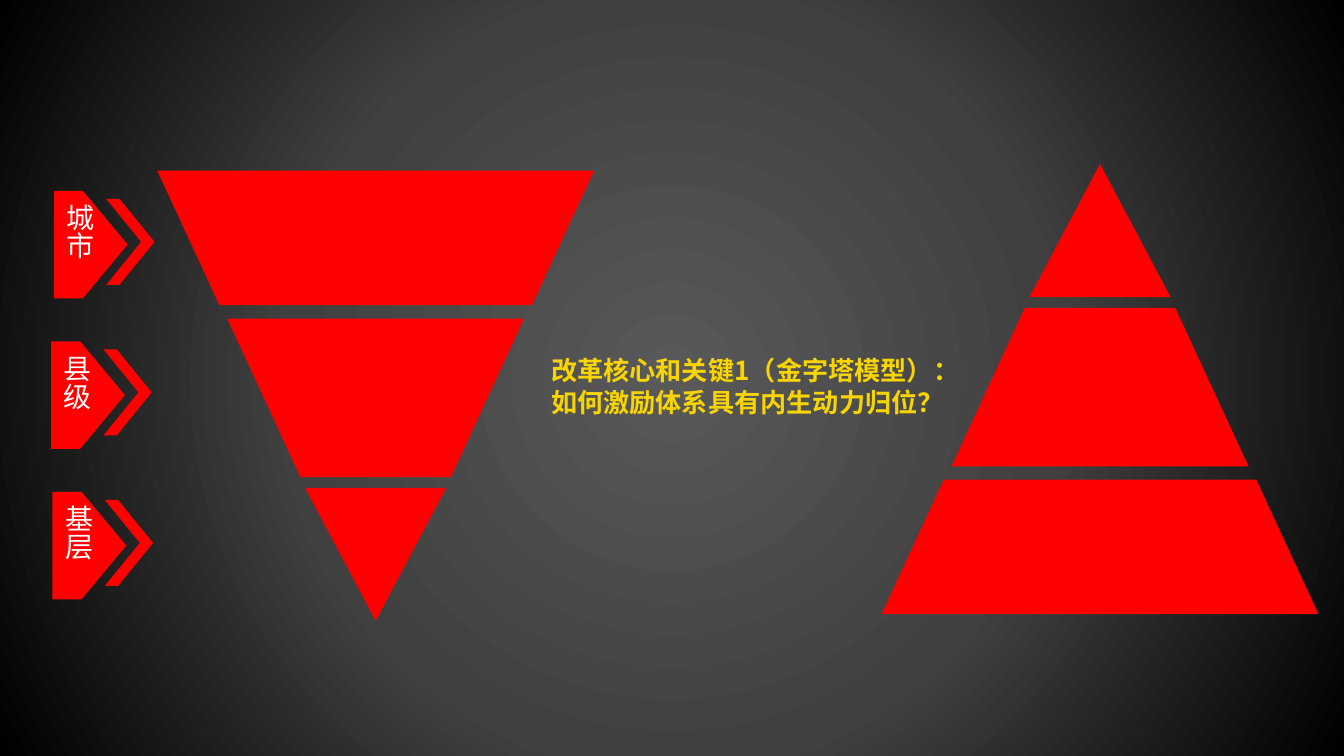
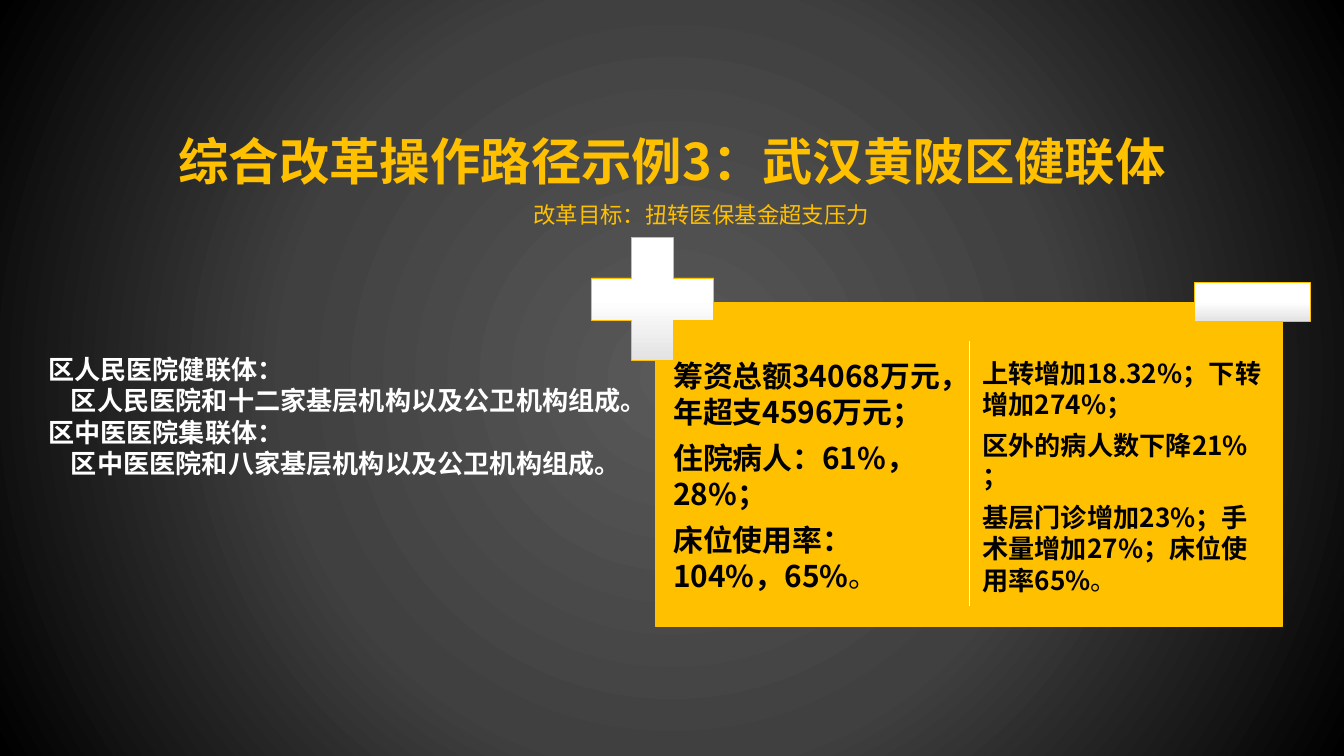
from dataclasses import dataclass

from lxml.etree import SubElement
from pptx import Presentation
from pptx.dml.color import RGBColor
from pptx.enum.shapes import MSO_CONNECTOR, MSO_SHAPE
from pptx.enum.text import MSO_ANCHOR, MSO_AUTO_SIZE, PP_ALIGN
from pptx.oxml.ns import qn
from pptx.util import Inches, Pt


@dataclass(frozen=True)
class Theme:
    font: str = "Noto Sans CJK SC"
    latin: str = "Arial"
    red: str = "FF0000"
    lemon: str = "F8D501"
    amber: str = "FFC000"
    white: str = "FFFFFF"
    silver: str = "E3E3E3"
    black: str = "000000"
    backdrop: tuple = ((0, "595959"), (50, "404040"), (100, "000000"))
    heading: int = 27
    figure: int = 16
    tag: int = 15
    body: int = 14
    note: int = 12
    leading: float = 1.2


THEME = Theme()
BADGE_STOPS = ((0, THEME.white), (50, THEME.white), (100, THEME.silver))


def place(shape, left, top, width, height):
    shape.left, shape.top = Inches(left), Inches(top)
    shape.width, shape.height = Inches(width), Inches(height)


def set_stops(owner, stops):
    gradient = owner.find(".//" + qn("a:gradFill"))
    stop_list = gradient.find(qn("a:gsLst"))
    for stop in list(stop_list):
        stop_list.remove(stop)
    for position, color in stops:
        stop = SubElement(stop_list, qn("a:gs"), pos=str(position * 1000))
        SubElement(stop, qn("a:srgbClr"), val=color)
    return gradient


def paint_backdrop(master):
    master.background.fill.gradient()
    gradient = set_stops(master._element, THEME.backdrop)
    gradient.remove(gradient.find(qn("a:lin")))
    circle = SubElement(gradient, qn("a:path"), path="circle")
    SubElement(circle, qn("a:fillToRect"), l="50000", t="50000", r="50000", b="50000")


def add_run(paragraph, text, size, color, bold=False, font=THEME.font):
    run = paragraph.add_run()
    run.text = text
    run.font.size, run.font.bold = Pt(size), bold
    run.font.color.rgb = RGBColor.from_string(color)
    run.font.name = font
    SubElement(run._r.get_or_add_rPr(), qn("a:ea"), typeface=THEME.font)


def write(frame, lines, size, color, bold=False, align=PP_ALIGN.LEFT, font=THEME.font, after=0):
    for index, line in enumerate(lines):
        paragraph = frame.paragraphs[0] if index == 0 else frame.add_paragraph()
        paragraph.alignment = align
        paragraph.line_spacing = Pt(round(size * THEME.leading, 1))
        paragraph.space_after = Pt(after)
        add_run(paragraph, line, size, color, bold, font)


def add_text(slide, box, wrap=True):
    text = slide.shapes.add_textbox(*map(Inches, box))
    text.text_frame.word_wrap = wrap
    return text.text_frame


def add_title(slide, box, lines, size, color, align):
    title = slide.shapes.title
    place(title, *box)
    frame = title.text_frame
    frame.word_wrap = True
    frame.auto_size = MSO_AUTO_SIZE.NONE
    frame.vertical_anchor = MSO_ANCHOR.TOP
    write(frame, lines, size, color, True, align)


def add_block(slide, kind, box, fill, line=None, weight=0.75, adjust=None):
    block = slide.shapes.add_shape(kind, *map(Inches, box))
    block.shadow.inherit = False
    if fill is None:
        block.fill.gradient()
        block.fill.gradient_angle = 270
        set_stops(block._element, BADGE_STOPS)
    else:
        block.fill.solid()
        block.fill.fore_color.rgb = RGBColor.from_string(fill)
    if line:
        block.line.color.rgb = RGBColor.from_string(line)
        block.line.width = Pt(weight)
    else:
        block.line.fill.background()
    if adjust is not None:
        block.adjustments[0] = adjust
    return block


def add_level_tag(slide, left, top, level):
    tag = add_block(slide, MSO_SHAPE.PENTAGON, (left, top, 0.55, 0.8), THEME.red, adjust=0.606)
    frame = tag.text_frame
    frame.word_wrap = False
    frame.vertical_anchor = MSO_ANCHOR.MIDDLE
    frame._txBody.bodyPr.set("vert", "eaVert")
    paragraph = frame.paragraphs[0]
    paragraph.alignment = PP_ALIGN.CENTER
    add_run(paragraph, level, THEME.tag, THEME.white)
    add_block(slide, MSO_SHAPE.CHEVRON, (left + 0.39, top + 0.06, 0.36, 0.64), THEME.red, adjust=0.725)


def add_pyramid(slide, left, top, inverted=False):
    width, height = 3.25, 3.35
    tiers = (
        (MSO_SHAPE.TRAPEZOID, 2.35, 3.25, 1.0, 0.462),
        (MSO_SHAPE.TRAPEZOID, 1.07, 2.21, 1.18, 0.462),
        (MSO_SHAPE.ISOSCELES_TRIANGLE, 0, 1.05, 0.99, None),
    )
    for kind, drop, tier_width, tier_height, adjust in tiers:
        if inverted:
            drop = height - drop - tier_height
        box = (left + (width - tier_width) / 2, top + drop, tier_width, tier_height)
        tier = add_block(slide, kind, box, THEME.red, adjust=adjust)
        tier.rotation = 180 if inverted else 0


def build_pyramid_slide(slide):
    add_title(
        slide, (4, 2.59, 8.14, 0.57),
        ("改革核心和关键1（金字塔模型）：", "如何激励体系具有内生动力归位？"),
        THEME.body, THEME.lemon, PP_ALIGN.LEFT,
    )
    for row, (left, level) in enumerate(((0.4, "城市"), (0.38, "县级"), (0.39, "基层"))):
        add_level_tag(slide, left, 1.42 + row * 1.12, level)
    add_pyramid(slide, 6.56, 1.22)
    add_pyramid(slide, 1.17, 1.27, inverted=True)


def add_results_column(slide, box, lines, size, stop_font):
    frame = add_text(slide, box)
    frame.margin_left = frame.margin_right = Inches(0.03)
    frame.margin_top = frame.margin_bottom = Inches(0.03)
    write(frame, lines, size, THEME.black, True, after=round(size * 0.35, 1))
    add_run(frame.paragraphs[-1], "。", size, THEME.black, font=stop_font)


def add_results_panel(slide, left, top):
    add_block(slide, MSO_SHAPE.RECTANGLE, (left, top, 4.66, 2.41), THEME.amber, THEME.amber)
    columns = (
        (0.1, THEME.figure, THEME.font,
         ("筹资总额34068万元，年超支4596万元；", "住院病人：61%，28%；", "床位使用率：104%，65%")),
        (2.4, THEME.body, THEME.latin,
         ("上转增加18.32%；下转增加274%；", "区外的病人数下降21% ；",
          "基层门诊增加23%；手术量增加27%；床位使用率65%")),
    )
    for offset, size, stop_font, lines in columns:
        add_results_column(slide, (left + offset, top + 0.38, 2.16, 2.06), lines, size, stop_font)
    badges = (
        (MSO_SHAPE.CROSS, (left - 0.48, top - 0.48, 0.91, 0.91), 0.328),
        (MSO_SHAPE.RECTANGLE, (left + 4.01, top - 0.15, 0.86, 0.29), None),
    )
    for kind, box, adjust in badges:
        add_block(slide, kind, box, None, THEME.amber, 0.5, adjust)
    divider_x = Inches(left + 2.33)
    divider = slide.shapes.add_connector(
        MSO_CONNECTOR.STRAIGHT, divider_x, Inches(top + 0.29), divider_x, Inches(top + 2.26)
    )
    divider.line.color.rgb = RGBColor.from_string(THEME.white)
    divider.line.width = Pt(0.5)
    SubElement(divider._element.spPr, qn("a:effectLst"))


def add_alliances(slide, box):
    alliances = (
        ("区人民医院健联体：", "区人民医院和十二家基层机构以及公卫机构组成。"),
        ("区中医医院集联体：", "区中医医院和八家基层机构以及公卫机构组成。"),
    )
    frame = add_text(slide, box)
    lines = [line for alliance in alliances for line in alliance]
    write(frame, lines, THEME.body, THEME.white, True, font=THEME.latin)
    for members in frame.paragraphs[1::2]:
        members._p.get_or_add_pPr().set("marL", str(Inches(0.17)))


def build_example_slide(slide):
    add_title(
        slide, (0, 0.92, 10, 0.56), ("综合改革操作路径示例3：武汉黄陂区健联体",),
        THEME.heading, THEME.amber, PP_ALIGN.CENTER,
    )
    goal = add_text(slide, (3.87, 1.45, 2.73, 0.3), wrap=False)
    write(goal, ("改革目标：扭转医保基金超支压力",), THEME.note, THEME.amber)
    add_results_panel(slide, 4.88, 2.25)
    add_alliances(slide, (0.26, 2.58, 6.67, 1.28))


def main():
    deck = Presentation()
    deck.slide_width = Inches(10)
    deck.slide_height = Inches(10 * 9 / 16)
    paint_backdrop(deck.slide_master)
    title_only = deck.slide_layouts[5]
    for build in (build_pyramid_slide, build_example_slide):
        build(deck.slides.add_slide(title_only))
    deck.save("out.pptx")


if __name__ == "__main__":
    main()
